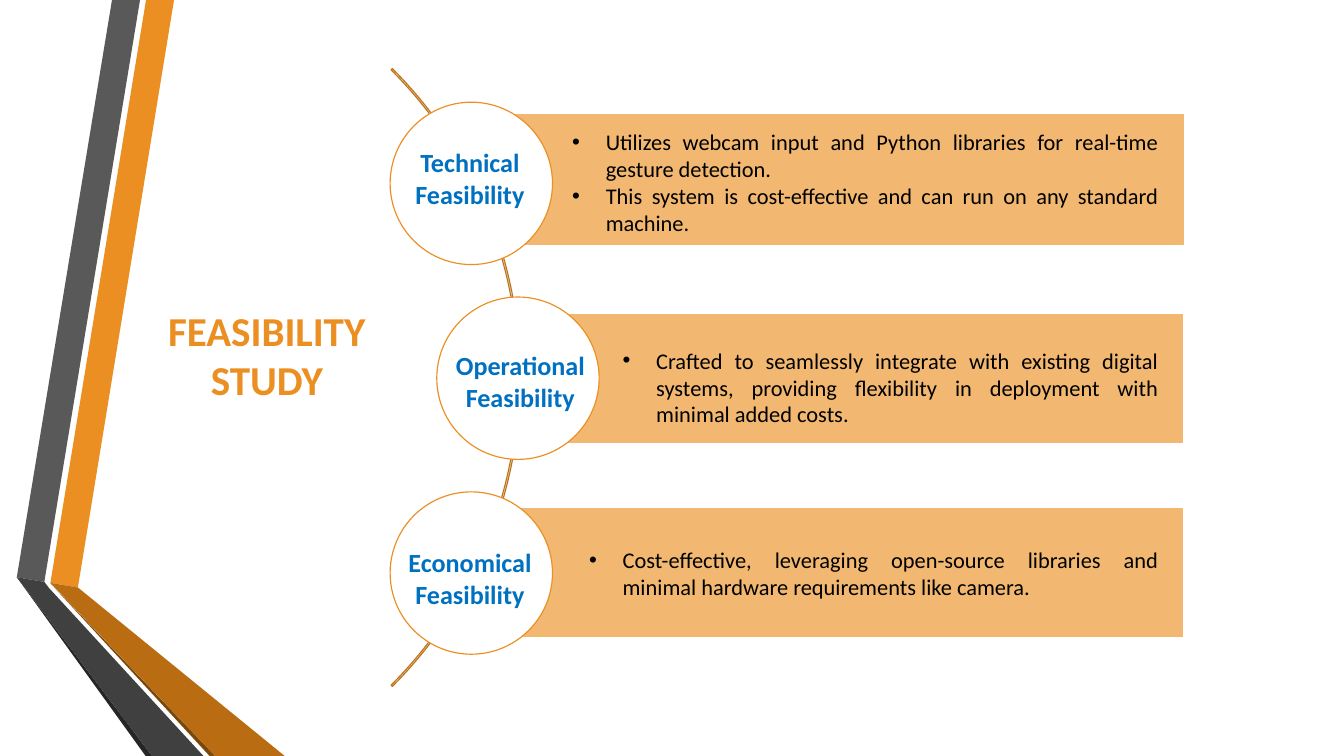
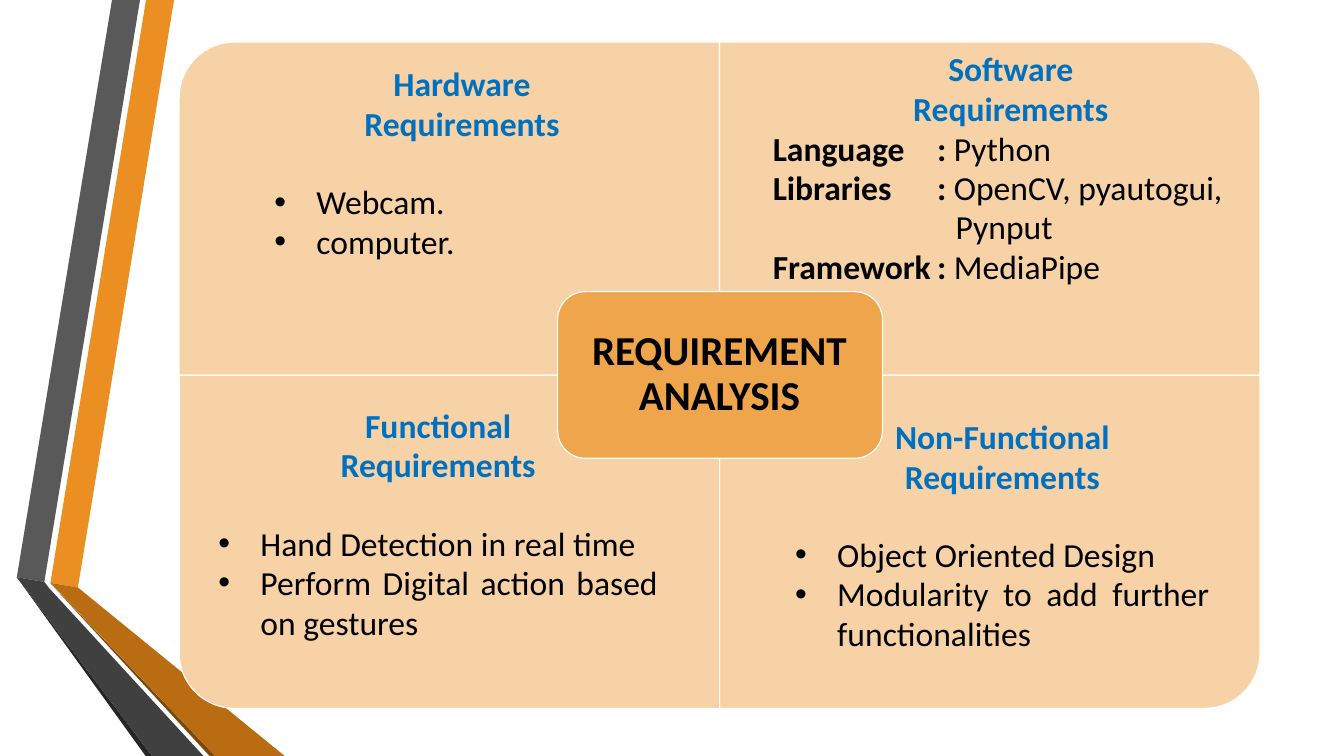
from dataclasses import dataclass

from lxml.etree import SubElement
from pptx import Presentation
from pptx.dml.color import RGBColor
from pptx.enum.shapes import MSO_SHAPE
from pptx.enum.text import MSO_ANCHOR, MSO_AUTO_SIZE, PP_ALIGN
from pptx.oxml.ns import qn
from pptx.util import Pt


@dataclass(frozen=True)
class Theme:
    font: str = "Calibri"
    orange: str = "EB8F22"
    brown: str = "B96C11"
    dark_brown: str = "7B480B"
    arc: str = "BC731B"
    band: str = "F2B872"
    card: str = "F7D2A7"
    center: str = "EFA54B"
    grey: str = "595959"
    dark_grey: str = "404040"
    charcoal: str = "262626"
    blue: str = "0070C0"
    black: str = "000000"
    white: str = "FFFFFF"
    title_size: float = 44
    card_size: float = 36
    label_size: float = 28
    body_size: float = 24
    card_spacing: float = 42.1
    line_width: float = 1.25


theme = Theme()


def add_block(s, kind, box, fill, line):
    sp = s.shapes.add_shape(kind, *[Pt(v) for v in box])
    sp.shadow.inherit = False
    if fill:
        sp.fill.solid()
        sp.fill.fore_color.rgb = RGBColor.from_string(fill)
    else:
        sp.fill.background()
    sp.line.color.rgb = RGBColor.from_string(line)
    sp.line.width = Pt(theme.line_width)
    return sp


def style_text(p, size, color, bold=False, align=PP_ALIGN.CENTER, spacing=None, indent=0):
    p.alignment = align
    if spacing:
        p.line_spacing = spacing
    if indent:
        pPr = p._p.get_or_add_pPr()
        pPr.set("marL", str(Pt(indent)))
        pPr.set("indent", str(-Pt(indent)))
        SubElement(pPr, qn("a:buFont"), typeface="Arial")
        SubElement(pPr, qn("a:buChar"), char="•")
    for r in p.runs:
        r.font.name = theme.font
        r.font.size = Pt(size)
        r.font.bold = bold
        r.font.color.rgb = RGBColor.from_string(color)


prs = Presentation()
prs.slide_width, prs.slide_height = Pt(1440), Pt(810)
layout = prs.slide_layouts[5]
feasibility = prs.slides.add_slide(layout)
requirements = prs.slides.add_slide(layout)

ribbons = [
    (theme.orange, [(54, 624.5), (83.5, 629.5), (186.5, 0), (156.5, 0)]),
    (theme.grey, [(150, 0), (120, 0), (18, 618.5), (47.5, 623.5)]),
    (theme.charcoal, [(18, 618.5), (156, 810), (163, 810)]),
    (theme.dark_brown, [(54, 625), (224.5, 810), (230.5, 810)]),
    (theme.brown, [(54, 624.5), (230.5, 810), (305, 810), (83.5, 629.5)]),
    (theme.dark_grey, [(218, 810), (52.5, 630), (47.5, 623.5), (18, 618.5), (163, 810)]),
]
for number, (color, points) in enumerate(ribbons):
    start, *rest = [(Pt(x), Pt(y)) for x, y in points]
    builder = feasibility.shapes.build_freeform(*start)
    builder.add_line_segments(rest)
    sp = builder.convert_to_shape()
    sp.shadow.inherit = False
    sp.fill.solid()
    sp.fill.fore_color.rgb = RGBColor.from_string(color)
    sp.line.fill.background()
    sp.element.xpath(".//p:cNvPr")[0].set("id", str(20 + number))
    layout.shapes.element.append(sp.element)

arc = add_block(feasibility, MSO_SHAPE.BLOCK_ARC, (-378.5, -63.5, 936, 936), None, theme.arc)
for i, value in enumerate((189, 27, 0.002)):
    arc.adjustments[i] = value

studies = [
    ("Technical Feasibility", 418, (534, 123, 734, 139), theme.band,
     (437, 153.5, 133, 75), (606, 134, 642, 124),
     "Utilizes webcam input and Python libraries for real-time gesture detection.\n"
     "This system is cost-effective and can run on any standard machine."),
    ("Operational\nFeasibility", 468, (555, 336, 713, 139), theme.white,
     (473, 371, 169, 75), (660, 368, 588, 94),
     "Crafted to seamlessly integrate with existing digital systems, providing "
     "flexibility in deployment with minimal added costs."),
    ("Economical Feasibility", 418, (505, 544, 763, 139), theme.white,
     (427, 582, 153, 75), (624, 582, 624, 65),
     "Cost-effective, leveraging open-source libraries and minimal hardware "
     "requirements like camera."),
]
for i, (label, circle_left, band_box, band_line, label_box, body_box, body) in enumerate(studies):
    add_block(feasibility, MSO_SHAPE.RECTANGLE, band_box, theme.band, band_line)
    circle_box = (circle_left, 109.5 + 208.75 * i, 174, 174)
    add_block(feasibility, MSO_SHAPE.OVAL, circle_box, theme.white, theme.orange)
    tf = feasibility.shapes.add_textbox(*[Pt(v) for v in body_box]).text_frame
    tf.word_wrap = True
    tf.text = body
    for p in tf.paragraphs:
        style_text(p, theme.body_size, theme.black, align=PP_ALIGN.JUSTIFY, indent=36)
    tf = feasibility.shapes.add_textbox(*[Pt(v) for v in label_box]).text_frame
    tf.word_wrap = True
    tf.text = label
    for p in tf.paragraphs:
        style_text(p, theme.label_size, theme.blue, bold=True)

card_w, card_h = 579, 357
for col, row, rotation in [(0, 0, 270), (1, 0, 0), (0, 1, 180), (1, 1, 90)]:
    w, h = (card_h, card_w) if rotation in (90, 270) else (card_w, card_h)
    center_x = 192 + card_w * (col + 0.5)
    center_y = 45 + card_h * (row + 0.5)
    box = (center_x - w / 2, center_y - h / 2, w, h)
    sp = add_block(requirements, MSO_SHAPE.ROUND_1_RECTANGLE, box, theme.card, theme.white)
    sp.rotation = rotation
add_block(requirements, MSO_SHAPE.ROUNDED_RECTANGLE, (597.5, 312.5, 348, 178.5),
          theme.center, theme.white)

cards = [
    ("Hardware\nRequirements", (294, 69, 402, 212), ["Webcam.", "computer."]),
    ("Software\nRequirements", (828, 52.5, 510, 297), []),
    ("Functional\nRequirements", (234, 435, 471, 254),
     ["Hand Detection in real time", "Perform Digital action based on gestures"]),
    ("Non-Functional\nRequirements", (852, 447, 444, 254),
     ["Object Oriented Design", "Modularity to add further functionalities"]),
]
tools = [("Language", "Python"), ("Libraries", "OpenCV, pyautogui,"),
         ("", "Pynput"), ("Framework", "MediaPipe")]
spacing = Pt(theme.card_spacing)
for heading, box, items in cards:
    tf = requirements.shapes.add_textbox(*[Pt(v) for v in box]).text_frame
    tf.word_wrap = True
    tf.margin_left = tf.margin_right = tf.margin_top = tf.margin_bottom = 0
    tf.text = heading
    for p in tf.paragraphs:
        style_text(p, theme.card_size, theme.blue, bold=True, spacing=spacing)
    if items:
        tf.paragraphs[-1].space_after = spacing
        for item in items:
            p = tf.add_paragraph()
            p.text = item
            style_text(p, theme.card_size, theme.black, align=PP_ALIGN.JUSTIFY,
                       spacing=spacing, indent=45)
        continue
    tf.paragraphs[-1].line_spacing = 1.0
    for name, value in tools:
        p = tf.add_paragraph()
        p.text = f"{name}\t: " if name else value
        if name:
            p.add_run().text = value
        style_text(p, theme.card_size, theme.black, align=PP_ALIGN.LEFT, spacing=spacing)
        pPr = p._p.get_or_add_pPr()
        if name:
            p.runs[0].font.bold = True
            tabs = SubElement(pPr, qn("a:tabLst"))
            SubElement(tabs, qn("a:tab"), pos=str(Pt(176)), algn="l")
        else:
            pPr.set("marL", str(Pt(196)))
            pPr.set("indent", "0")

titles = [
    (feasibility, "FEASIBILITY\nSTUDY", (162, 322.5, 248, 114), theme.orange, 1.0, (7.2, 3.6)),
    (requirements, "REQUIREMENT ANALYSIS", (606, 321, 330, 161), theme.black, 0.9, (13, 13)),
]
for s, text, box, color, line_spacing, (inset_x, inset_y) in titles:
    title = s.shapes.title
    title.left, title.top, title.width, title.height = [Pt(v) for v in box]
    tf = title.text_frame
    tf.text = text
    tf.word_wrap = True
    tf.auto_size = MSO_AUTO_SIZE.NONE
    tf.vertical_anchor = MSO_ANCHOR.MIDDLE
    tf.margin_left = tf.margin_right = Pt(inset_x)
    tf.margin_top = tf.margin_bottom = Pt(inset_y)
    for p in tf.paragraphs:
        style_text(p, theme.title_size, color, bold=True, spacing=line_spacing)
    s.shapes.element.append(title.element)

prs.save("out.pptx")
